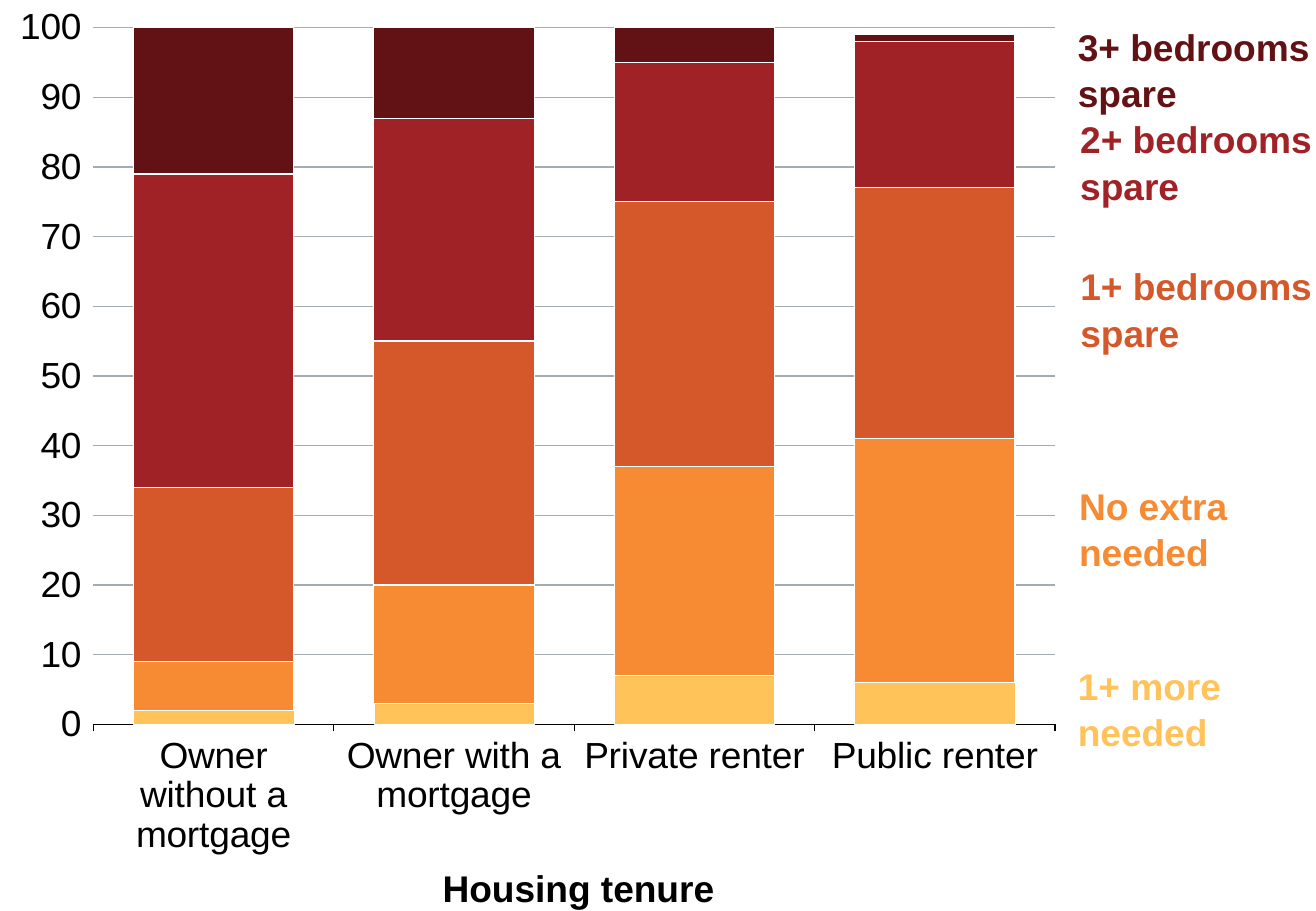
from dataclasses import dataclass

from lxml import etree
from pptx import Presentation, util as u
from pptx.chart import data as chart_data
from pptx.chart.chart import Chart
from pptx.dml.color import RGBColor
from pptx.enum import chart as ch, text
from pptx.oxml.ns import qn
from pptx.slide import Slide

PX = 9144  # 100 px to the inch
FONT = "Arial"
TEXT_SIZE = u.Pt(22)
BLACK = RGBColor(0x00, 0x00, 0x00)
WHITE = RGBColor(0xFF, 0xFF, 0xFF)
GRID_GREY = RGBColor(0xA4, 0xAB, 0xB1)
YELLOW = RGBColor(0xFF, 0xC3, 0x5A)
ORANGE = RGBColor(0xF6, 0x8B, 0x33)
RUST = RGBColor(0xD4, 0x58, 0x2A)
RED = RGBColor(0xA0, 0x22, 0x26)
MAROON = RGBColor(0x62, 0x12, 0x14)


@dataclass(frozen=True)
class Box:
    left: int
    top: int
    width: int
    height: int

    def emu(self) -> list[u.Emu]:
        return [u.Emu(n * PX) for n in (self.left, self.top, self.width, self.height)]


@dataclass(frozen=True)
class Occupancy:
    """One stacked series and the label beside it."""
    label: str
    values: tuple[int, ...]
    color: RGBColor
    label_box: Box
    outline: float = 0.75


TENURES = ("Owner without a mortgage", "Owner with a mortgage",
           "Private renter", "Public renter")
OCCUPANCIES = (
    Occupancy("1+ more needed", (2, 3, 7, 6), YELLOW, Box(887, 544, 196, 74), 0.25),
    Occupancy("No extra needed", (7, 17, 30, 35), ORANGE, Box(888, 396, 221, 74)),
    Occupancy("1+ bedrooms spare", (25, 35, 38, 36), RUST, Box(889, 215, 221, 74)),
    Occupancy("2+ bedrooms spare", (45, 32, 20, 21), RED, Box(889, 94, 220, 74)),
    Occupancy("3+ bedrooms spare", (21, 14, 5, 1), MAROON, Box(887, 18, 201, 74)),
)
CHART_BOX = Box(0, 0, 915, 704)
AXIS_TITLE_BOX = Box(281, 711, 400, 37)
PLOT_LAYOUT = {"layoutTarget": "inner", "xMode": "edge", "yMode": "edge",
               "x": 0.084, "y": 0.033, "w": 0.865, "h": 0.832}


def place_plot_area(chart: Chart) -> None:
    """Fix the inner plot area as fractions of the chart."""
    plot_area = chart.element.find(".//" + qn("c:plotArea"))
    for old_layout in plot_area.findall(qn("c:layout")):
        plot_area.remove(old_layout)
    layout = etree.Element(qn("c:layout"))
    manual = etree.SubElement(layout, qn("c:manualLayout"))
    for tag, value in PLOT_LAYOUT.items():
        etree.SubElement(manual, qn(f"c:{tag}")).set("val", str(value))
    plot_area.insert(0, layout)


def style_axes(chart: Chart) -> None:
    for axis in (chart.category_axis, chart.value_axis):
        axis.major_tick_mark = ch.XL_TICK_MARK.OUTSIDE
        axis.minor_tick_mark = ch.XL_TICK_MARK.NONE
        axis.tick_labels.font.size = TEXT_SIZE
    category_line = chart.category_axis.format.line
    category_line.color.rgb = BLACK
    category_line.width = u.Pt(0.75)

    value_axis = chart.value_axis
    value_axis.minimum_scale, value_axis.maximum_scale = 0, 100
    value_axis.major_unit = 10
    value_axis.format.line.fill.background()
    value_axis.tick_labels.number_format = "#,##0"
    value_axis.tick_labels.number_format_is_linked = False
    grid_line = value_axis.major_gridlines.format.line
    grid_line.color.rgb = GRID_GREY
    grid_line.width = u.Pt(0.75)


def add_tenure_chart(slide: Slide) -> None:
    data = chart_data.CategoryChartData()
    data.categories = TENURES
    for occupancy in OCCUPANCIES:
        data.add_series(occupancy.label, occupancy.values)
    chart = slide.shapes.add_chart(
        ch.XL_CHART_TYPE.COLUMN_STACKED, *CHART_BOX.emu(), data).chart
    chart.has_legend = False
    chart.has_title = False
    chart.font.name = FONT
    chart.font.size = u.Pt(18)
    chart.font.color.rgb = BLACK

    plot = chart.plots[0]
    plot.gap_width, plot.overlap = 50, 100
    plot.vary_by_categories = False
    for series, occupancy in zip(plot.series, OCCUPANCIES):
        series.format.fill.solid()
        series.format.fill.fore_color.rgb = occupancy.color
        series.format.line.color.rgb = WHITE
        series.format.line.width = u.Pt(occupancy.outline)
    style_axes(chart)
    place_plot_area(chart)


def add_label(slide: Slide, wording: str, box: Box, color: RGBColor,
              align: text.PP_ALIGN = text.PP_ALIGN.LEFT, margin_right: int = 0) -> None:
    frame = slide.shapes.add_textbox(*box.emu()).text_frame
    frame.word_wrap = True
    frame.auto_size = text.MSO_AUTO_SIZE.SHAPE_TO_FIT_TEXT
    frame.margin_left = frame.margin_top = frame.margin_bottom = 0
    frame.margin_right = u.Emu(margin_right * PX)
    frame.text = wording
    paragraph = frame.paragraphs[0]
    paragraph.alignment = align
    paragraph.line_spacing = 1.05
    font = paragraph.runs[0].font
    font.name, font.size, font.bold = FONT, TEXT_SIZE, True
    font.color.rgb = color


def main() -> None:
    presentation = Presentation()
    presentation.slide_width = u.Emu(1083 * PX)
    presentation.slide_height = u.Emu(750 * PX)
    slide = presentation.slides.add_slide(presentation.slide_layouts[6])
    add_tenure_chart(slide)
    for occupancy in OCCUPANCIES:
        add_label(slide, occupancy.label, occupancy.label_box, occupancy.color)
    add_label(slide, "Housing tenure", AXIS_TITLE_BOX, BLACK,
              text.PP_ALIGN.CENTER, margin_right=10)
    presentation.save("out.pptx")


if __name__ == "__main__":
    main()
